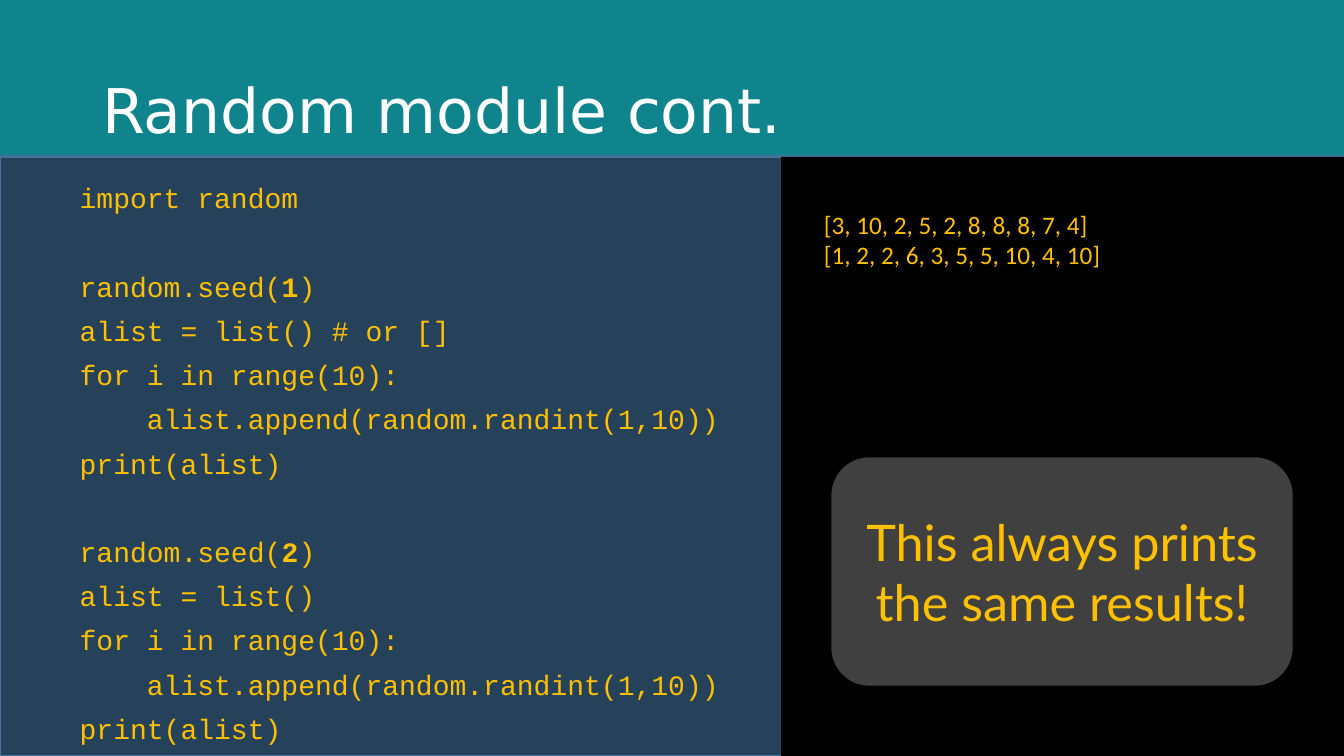
import pptx
import pptx.util
import pptx.dml.color
import pptx.enum.shapes
import pptx.enum.text
from lxml import etree

Pt = pptx.util.Pt
RGB = pptx.dml.color.RGBColor
SHAPE = pptx.enum.shapes.MSO_SHAPE
ANCHOR = pptx.enum.text.MSO_ANCHOR
ALIGN = pptx.enum.text.PP_ALIGN
FIT = pptx.enum.text.MSO_AUTO_SIZE

TITLE = "Random module cont."
LOOP = [
    ["for i in range(10):"],
    ["    alist.append(random.randint(1,10))"],
    ["print(alist)"],
]
CODE = [
    [["import random"]],
    [["random.seed(", "1", ")"], ["alist = list() # or []"], *LOOP],
    [["random.seed(", "2", ")"], ["alist = list()"], *LOOP],
]
OUTPUT = ["[3, 10, 2, 5, 2, 8, 8, 8, 7, 4]", "[1, 2, 2, 6, 3, 5, 5, 10, 4, 10]"]
CALLOUT = "This always prints the same results!"

TEAL = RGB(0x0F, 0x84, 0x8D)
NAVY = RGB(0x26, 0x42, 0x5B)
BLUE = RGB(0x43, 0x72, 0x9D)
BLACK = RGB(0, 0, 0)
GRAY = RGB(0x40, 0x40, 0x40)
AMBER = RGB(0xFF, 0xC0, 0)
WHITE = RGB(0xFF, 0xFF, 0xFF)

W, H = 960, 540
PANEL_TOP = 112
SPLIT = 558
LINE_GAP, BLOCK_GAP = 10, 41.5


def add_box(s, kind, x, y, w, h, fill, line=None, weight=0):
    sp = s.shapes.add_shape(kind, Pt(x), Pt(y), Pt(w), Pt(h))
    sp.shadow.inherit = False
    sp.fill.solid()
    sp.fill.fore_color.rgb = fill
    if line is None:
        sp.line.fill.background()
    else:
        sp.line.color.rgb = line
        sp.line.width = Pt(weight)
    return sp


def place(sp, x, y, w, h, anchor):
    sp.left, sp.top, sp.width, sp.height = Pt(x), Pt(y), Pt(w), Pt(h)
    tf = sp.text_frame
    tf.word_wrap = True
    tf.auto_size = FIT.NONE
    tf.vertical_anchor = anchor
    return tf


def next_paragraph(tf, first):
    return tf.paragraphs[0] if first else tf.add_paragraph()


def add_run(p, text, size, font, color, bold=False):
    r = p.add_run()
    r.text = text
    r.font.size = Pt(size)
    r.font.name = font
    r.font.color.rgb = color
    r.font.bold = bold


prs = pptx.Presentation()
prs.slide_width, prs.slide_height = Pt(W), Pt(H)
s = prs.slides.add_slide(prs.slide_layouts[1])
s.background.fill.solid()
s.background.fill.fore_color.rgb = TEAL
title, body = s.placeholders

panel = add_box(s, SHAPE.RECTANGLE, 0, PANEL_TOP, W, H - PANEL_TOP, NAVY, BLUE, 2)
title._element.addprevious(panel._element)

tf = place(title, 66, 28.8, 828, 104.4, ANCHOR.MIDDLE)
p = tf.paragraphs[0]
p.alignment = ALIGN.LEFT
p.line_spacing = 0.9
add_run(p, TITLE, 44, "DejaVu Sans", WHITE)

tf = place(body, 49.7, 128.2, 484, 396, ANCHOR.TOP)
for b, block in enumerate(CODE):
    for i, line in enumerate(block):
        first = b == 0 and i == 0
        p = next_paragraph(tf, first)
        pPr = p._p.get_or_add_pPr()
        pPr.set("marL", "0")
        pPr.set("indent", "0")
        etree.SubElement(pPr, pptx.oxml.ns.qn("a:buNone"))
        p.line_spacing = 0.9
        p.space_before = Pt(0 if first else LINE_GAP if i else BLOCK_GAP)
        for k, text in enumerate(line):
            add_run(p, text, 20, "Courier New", AMBER, bold=k == 1)

add_box(s, SHAPE.RECTANGLE, SPLIT, PANEL_TOP, W - SPLIT, H - PANEL_TOP, BLACK)

tf = place(s.shapes.add_textbox(0, 0, 0, 0), 581.5, 146, 230.4, 50.4, ANCHOR.TOP)
for i, line in enumerate(OUTPUT):
    add_run(next_paragraph(tf, i == 0), line, 18, "Calibri", AMBER)

callout = add_box(s, SHAPE.ROUNDED_RECTANGLE, 593.5, 326.3, 330.3, 163.9, GRAY, BLACK, 0.75)
tf = callout.text_frame
tf.word_wrap = True
tf.vertical_anchor = ANCHOR.MIDDLE
p = tf.paragraphs[0]
p.alignment = ALIGN.CENTER
add_run(p, CALLOUT, 36, "Lato", AMBER)

prs.save("out.pptx")
